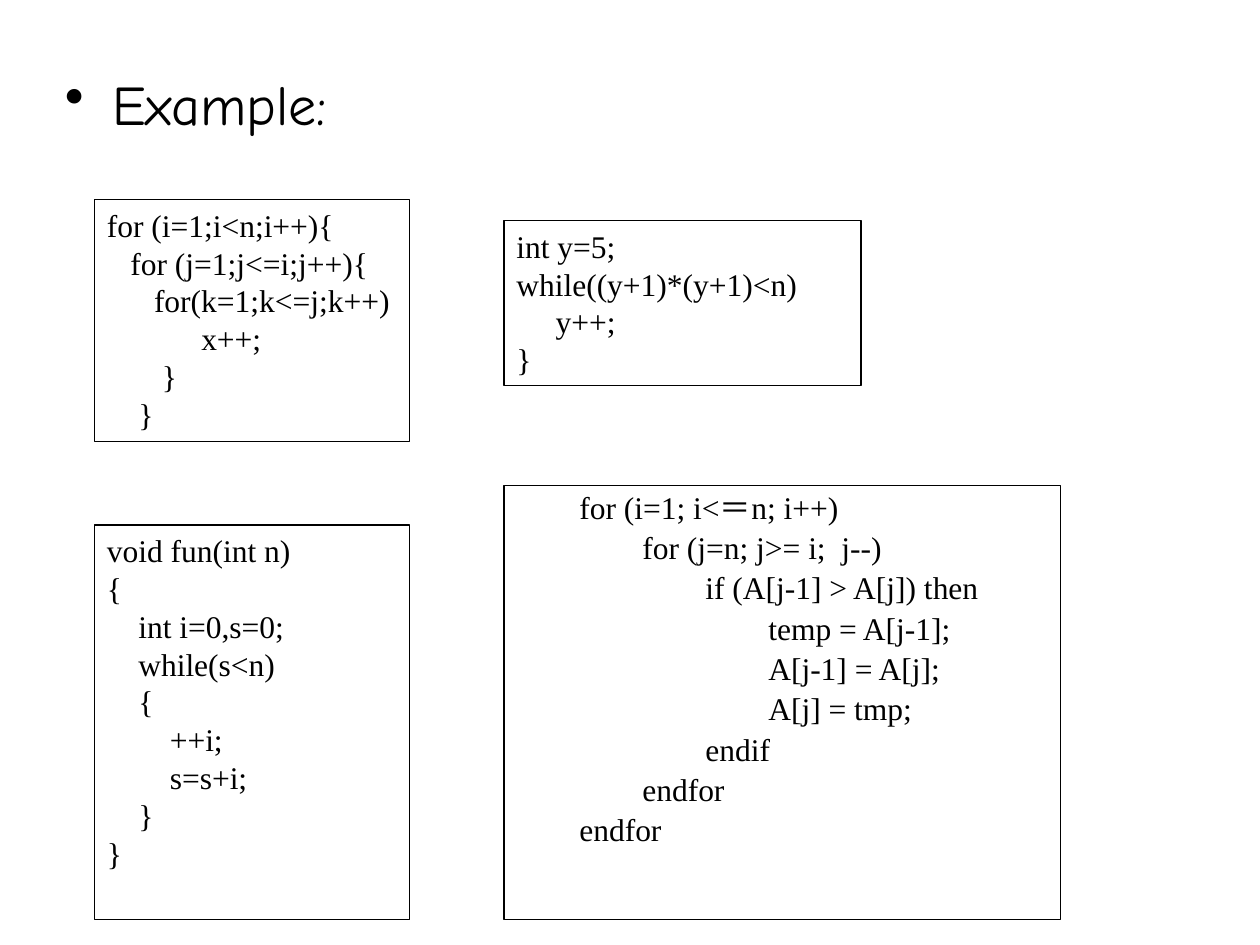
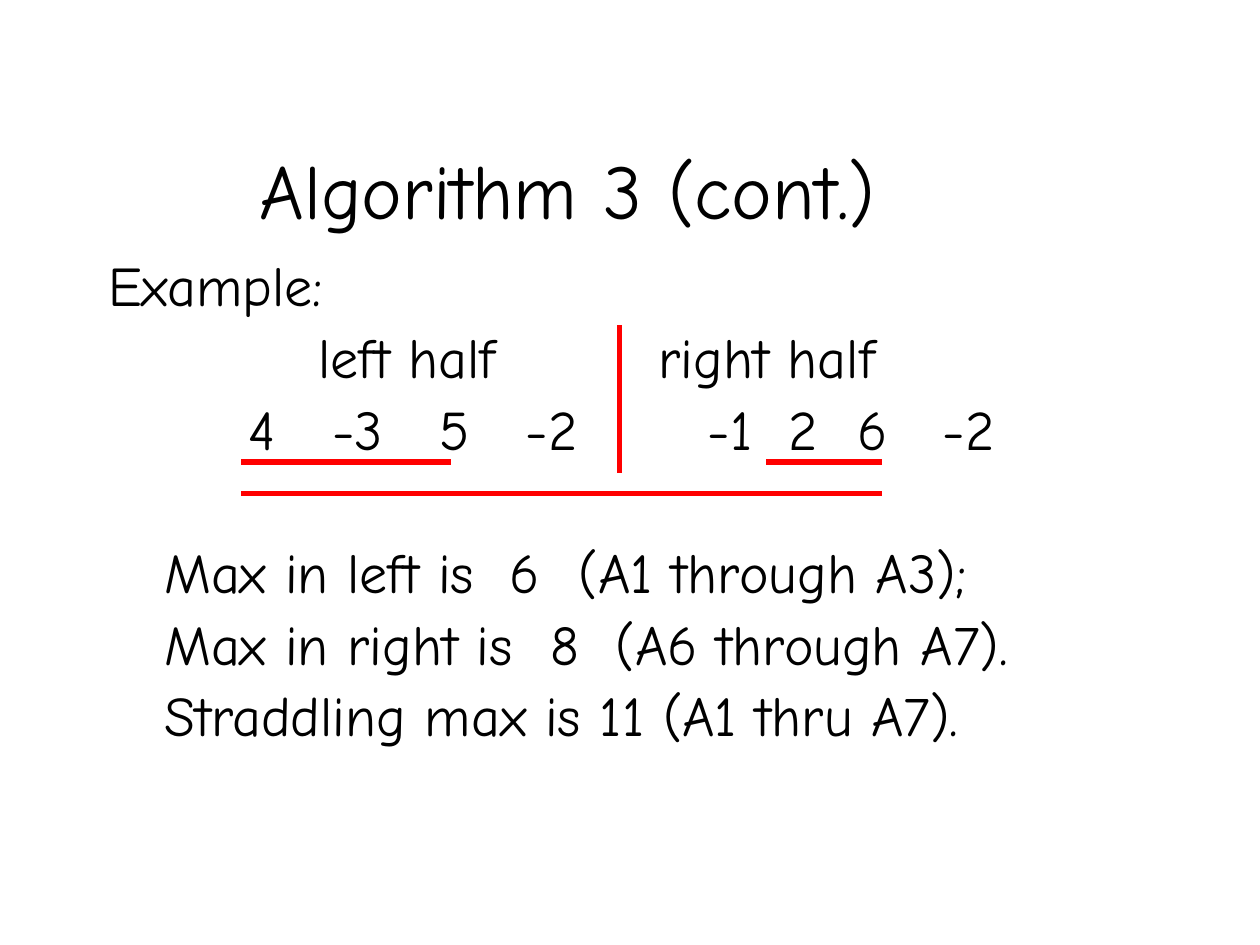
from lxml.etree import SubElement
from pptx import Presentation
from pptx.dml.color import RGBColor
from pptx.enum.shapes import MSO_CONNECTOR, MSO_SHAPE
from pptx.enum.text import MSO_ANCHOR, PP_ALIGN
from pptx.oxml.ns import qn
from pptx.util import Pt

BLACK, RED = "000000", "FF0000"
HAND_FONT, CODE_FONT = "Comic Neue", "Times New Roman"
BODY_SIZE, CODE_SIZE, TITLE_SIZE = 32, 18, 44
LINE_PITCH = 1.2
TITLE_ONLY, BLANK = 5, 6

TRIPLE_LOOP = [
    "for (i=1;i<n;i++){",
    "   for (j=1;j<=i;j++){",
    "      for(k=1;k<=j;k++)",
    "            x++;",
    "       }",
    "    }",
]
SQUARE_LOOP = [
    "int y=5;",
    "while((y+1)*(y+1)<n)",
    "     y++;",
    "}",
]
SUM_FUNCTION = [
    "void fun(int n)",
    "{",
    "    int i=0,s=0;",
    "    while(s<n)",
    "    {",
    "        ++i;",
    "        s=s+i;",
    "    }",
    "}",
]
BUBBLE_SORT = [
    (1, "for (i=1; i<＝n; i++)"),
    (2, "for (j=n; j>= i;  j--)"),
    (3, "if (A[j-1] > A[j]) then"),
    (4, "temp = A[j-1];"),
    (4, "A[j-1] = A[j];"),
    (4, "A[j] = tmp;"),
    (3, "endif"),
    (2, "endfor"),
    (1, "endfor"),
]
# Each row of the worked example: text and its tab stops.
EXAMPLE_ROWS = [
    ("Example:", []),
    ("\tleft half\tright half", [120, 314.5]),
    ("\t4\t-3\t5\t-2\t-1\t2\t6\t-2", [80, 128, 189.5, 238.5, 342.5, 389, 428, 477]),
    ("\tMax in left is\t6\t(A1 through A3);", [32, 229.5, 269]),
    ("\tMax in right is\t8\t(A6 through A7).", [32, 252.5, 290]),
    ("\tStraddling max is 11 (A1 thru A7).", [32]),
]
FIRST_RESULT_ROW = 3


def color(hex_string):
    return RGBColor.from_string(hex_string)


def write(paragraph, text, font=HAND_FONT, size=BODY_SIZE, spacing=1.0, before=0,
          margin=0, bullet=None, tabs=(), align=PP_ALIGN.LEFT):
    properties = paragraph._p.get_or_add_pPr()
    if margin:
        properties.set("marL", str(Pt(margin)))
    if bullet:
        properties.set("indent", str(-Pt(margin)))
        SubElement(properties, qn("a:buChar"), char=bullet)
    if tabs:
        tab_list = SubElement(properties, qn("a:tabLst"))
        for stop in tabs:
            SubElement(tab_list, qn("a:tab"), pos=str(Pt(stop)), algn="l")
    paragraph.alignment = align
    paragraph.line_spacing = spacing
    paragraph.space_before = Pt(before)
    run = paragraph.add_run()
    run.text = text
    run.font.name = font
    run.font.size = Pt(size)
    run.font.color.rgb = color(BLACK)


class Deck:
    def __init__(self):
        self.presentation = Presentation()
        self.presentation.slide_width = Pt(720)
        self.presentation.slide_height = Pt(540)
        self.slide = None

    def add_slide(self, layout):
        layouts = self.presentation.slide_layouts
        self.slide = self.presentation.slides.add_slide(layouts[layout])

    def title(self, text, left, top, width, height):
        shape = self.slide.shapes.title
        shape.left, shape.top = Pt(left), Pt(top)
        shape.width, shape.height = Pt(width), Pt(height)
        shape.text_frame.vertical_anchor = MSO_ANCHOR.BOTTOM
        write(shape.text_frame.paragraphs[0], text, size=TITLE_SIZE, align=PP_ALIGN.CENTER)

    def fill_frame(self, frame, lines):
        """Write (text, format) pairs, one paragraph each."""
        frame.word_wrap = True
        frame.vertical_anchor = MSO_ANCHOR.TOP
        for index, (text, style) in enumerate(lines):
            paragraph = frame.add_paragraph() if index else frame.paragraphs[0]
            write(paragraph, text, **style)

    def text(self, lines, left, top, width, height):
        shape = self.slide.shapes.add_textbox(Pt(left), Pt(top), Pt(width), Pt(height))
        self.fill_frame(shape.text_frame, lines)

    def code_box(self, lines, left, top, width, height):
        shape = self.slide.shapes.add_shape(
            MSO_SHAPE.RECTANGLE, Pt(left), Pt(top), Pt(width), Pt(height))
        shape.shadow.inherit = False
        shape.fill.background()
        shape.line.color.rgb = color(BLACK)
        shape.line.width = Pt(0.75)
        code_style = dict(font=CODE_FONT, size=CODE_SIZE)
        self.fill_frame(shape.text_frame,
                        [(text, code_style | style) for text, style in lines])

    def red_line(self, x1, y1, x2, y2):
        line = self.slide.shapes.add_connector(
            MSO_CONNECTOR.STRAIGHT, Pt(x1), Pt(y1), Pt(x2), Pt(y2))
        line.line.color.rgb = color(RED)
        line.line.width = Pt(3)
        SubElement(line._element.spPr, qn("a:effectLst"))


def build_code_examples(deck):
    deck.add_slide(BLANK)
    deck.text([("Example:", dict(margin=27, bullet="•"))], 30, 36, 630, 48)
    for code, box in [
        (TRIPLE_LOOP, (54, 114, 180, 138.25)),
        (SQUARE_LOOP, (288, 126, 204, 94.25)),
        (SUM_FUNCTION, (54, 300, 180, 225.5)),
    ]:
        deck.code_box([(text, {}) for text in code], *box)
    sort_lines = [
        (text, dict(margin=36 * level, spacing=0.9, before=0.2 * CODE_SIZE if index else 0))
        for index, (level, text) in enumerate(BUBBLE_SORT)
    ]
    deck.code_box(sort_lines, 288, 277.5, 318, 248)


def build_maximum_example(deck):
    deck.add_slide(TITLE_ONLY)
    deck.title("Algorithm 3 (cont.)", 54, 12, 541, 126)
    gap = 0.2 * BODY_SIZE
    row_pitch = 0.9 * LINE_PITCH * BODY_SIZE + gap
    rows = []
    for index, (text, tabs) in enumerate(EXAMPLE_ROWS):
        before = gap if index else 0
        if index == FIRST_RESULT_ROW:
            before += row_pitch
        rows.append((text, dict(tabs=tabs, spacing=0.9, before=before)))
    deck.text(rows, 54.75, 144, 606, 288)

    left_start, left_end, right_start, right_end = 138, 258, 438, 504
    half_y, straddling_y = 264, 282
    deck.red_line(354, 186, 354, 270)
    for start, end, y in [
        (left_start, left_end, half_y),
        (right_start, right_end, half_y),
        (left_start, right_end, straddling_y),
    ]:
        deck.red_line(start, y, end, y)


def main():
    deck = Deck()
    build_code_examples(deck)
    build_maximum_example(deck)
    deck.presentation.save("out.pptx")


if __name__ == "__main__":
    main()
